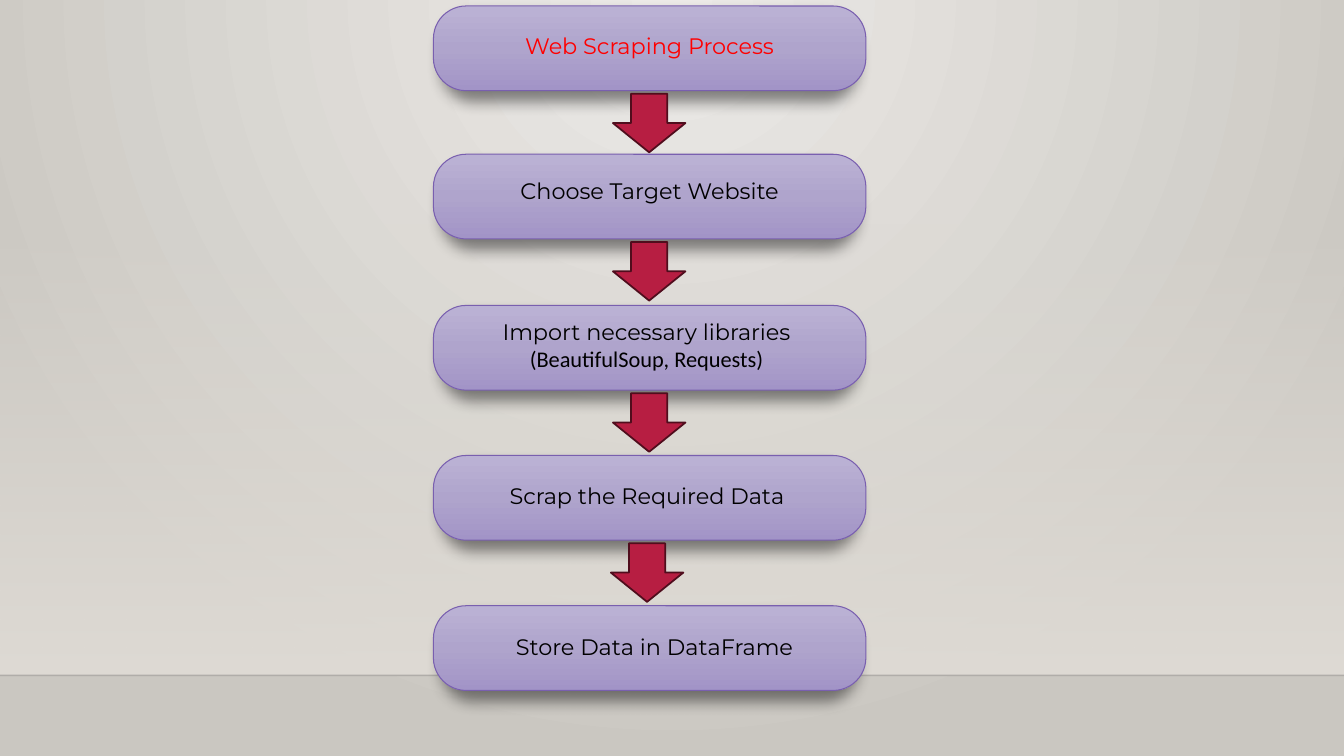
import pptx
import pptx.util
import pptx.dml.color
import pptx.enum.shapes
import pptx.enum.text
import pptx.oxml
import pptx.oxml.ns

Pt = pptx.util.Pt
SHAPE = pptx.enum.shapes.MSO_SHAPE
ANCHOR = pptx.enum.text.MSO_ANCHOR
FIT = pptx.enum.text.MSO_AUTO_SIZE
NS = pptx.oxml.ns.nsdecls("a")

COLORS = {
    "title": "FF0000", "text": "000000", "arrow": "B71E42", "arrow_edge": "500D1D",
    "box_edge": "795FAF", "box_top": "BAB1D4", "box_mid": "AFA4CC", "box_low": "A294C7",
    "glow": "ECEAE7", "wall": "CAC7C1", "haze": "DFDBD5", "floor": "000001",
}
BOX_LEFT, BOX_W, BOX_H = 309.6, 308.9, 60.5
ARROW_W, ARROW_H, ARROW_DROP = 51.8, 41.8, 62.7
DOWN = '<a:lin ang="5400000" scaled="0"/>'
RADIAL = '<a:path path="circle"><a:fillToRect l="43000" r="43000" b="100000"/></a:path>'

# box top, text frame (left, top, width, height), lines of (text, font)
STEPS = [
    (4.3, (309.6, 5.8, 308.9, 56.2), [("Web Scraping Process", "Montserrat")]),
    (110.2, (309.6, 123.1, 308.9, 46.1), [("Choose Target Website", "Montserrat")]),
    (218.2, (309.6, 223.9, 304.6, 46.1), [("Import necessary libraries", "Montserrat"),
                                          ("(BeautifulSoup, Requests)", "Calibri")]),
    (325.4, (318.2, 340.6, 288, 26.6), [("Scrap the Required Data", "Montserrat")]),
    (432.7, (321.1, 448.6, 293, 26.6), [("Store Data in DataFrame", "Montserrat")]),
]
ARROW_LEFTS = [437.8, 437.8, 437.8, 436.3]


def rgb(name):
    return pptx.dml.color.RGBColor.from_string(COLORS[name])


def gradient(stops, direction):
    """Gradient fill element from (position %, colour name, opacity %) stops."""
    gs = "".join(
        f'<a:gs pos="{pos * 1000}"><a:srgbClr val="{COLORS[name]}">'
        f'<a:alpha val="{alpha * 1000}"/></a:srgbClr></a:gs>'
        for pos, name, alpha in stops)
    return pptx.oxml.parse_xml(
        f'<a:gradFill {NS} rotWithShape="1"><a:gsLst>{gs}</a:gsLst>{direction}</a:gradFill>')


class FlowSlide:
    def __init__(self, prs):
        self.s = prs.slides.add_slide(prs.slide_layouts[6])

    def backdrop(self):
        self.s.background.fill.solid()
        bg = self.s.element.xpath("p:cSld/p:bg/p:bgPr")[0]
        bg.replace(bg[0], gradient([(0, "glow", 100), (100, "wall", 100)], RADIAL))
        haze = self.shape(SHAPE.RECTANGLE, 0, 159.1, 960, 323.3)
        haze.line.fill.background()
        self.shade(haze, [(0, "haze", 0), (100, "haze", 100)])

    def floor_line(self, y):
        c = self.s.shapes.add_connector(
            pptx.enum.shapes.MSO_CONNECTOR.STRAIGHT, 0, Pt(y), Pt(960), Pt(y))
        c.line.color.rgb = rgb("floor")
        c.line.width = Pt(1)
        color = c.element.spPr.xpath("a:ln/a:solidFill/a:srgbClr")[0]
        color.append(pptx.oxml.parse_xml(f'<a:alpha {NS} val="20000"/>'))
        c.element.spPr.append(pptx.oxml.parse_xml(f"<a:effectLst {NS}/>"))

    def shape(self, kind, *box):
        sp = self.s.shapes.add_shape(kind, *map(Pt, box))
        sp.shadow.inherit = False
        return sp

    def shade(self, sp, stops):
        sp.element.spPr.xpath("a:prstGeom")[0].addnext(gradient(stops, DOWN))

    def outline(self, sp, color, width):
        sp.line.color.rgb = rgb(color)
        sp.line.width = Pt(width)

    def step_box(self, top):
        sp = self.shape(SHAPE.ROUNDED_RECTANGLE, BOX_LEFT, top, BOX_W, BOX_H)
        sp.adjustments[0] = 0.386
        self.shade(sp, [(5, "box_top", 100), (50, "box_mid", 100), (100, "box_low", 100)])
        self.outline(sp, "box_edge", 0.75)
        sp.element.spPr.xpath("a:effectLst")[0].append(pptx.oxml.parse_xml(
            f'<a:outerShdw {NS} blurRad="{Pt(11)}" dist="{Pt(7)}" dir="5700000" '
            'sx="96000" algn="t" rotWithShape="0"><a:srgbClr val="000000">'
            '<a:alpha val="45000"/></a:srgbClr></a:outerShdw>'))

    def arrow(self, left, top):
        sp = self.shape(SHAPE.DOWN_ARROW, left, top, ARROW_W, ARROW_H)
        sp.fill.solid()
        sp.fill.fore_color.rgb = rgb("arrow")
        self.outline(sp, "arrow_edge", 1.25)

    def text(self, box, lines, color, frame, spacing):
        tf = self.s.shapes.add_textbox(*map(Pt, box)).text_frame
        for name, value in {"word_wrap": True, **frame}.items():
            setattr(tf, name, value)
        for i, (words, font) in enumerate(lines):
            p = tf.add_paragraph() if i else tf.paragraphs[0]
            p.alignment = pptx.enum.text.PP_ALIGN.CENTER
            p.line_spacing = spacing
            r = p.add_run()
            r.text = words
            for name, value in {"name": font, "size": Pt(16)}.items():
                setattr(r.font, name, value)
            r.font.color.rgb = rgb(color)


def main():
    prs = pptx.Presentation()
    prs.slide_width, prs.slide_height = Pt(960), Pt(540)
    flow = FlowSlide(prs)
    flow.backdrop()
    flow.floor_line(482.4)
    for i, (top, box, lines) in enumerate(STEPS):
        flow.step_box(top)
        if i == 0:
            flow.text(box, lines, "title", {"vertical_anchor": ANCHOR.MIDDLE}, 0.9)
        else:
            flow.text(box, lines, "text", {"auto_size": FIT.SHAPE_TO_FIT_TEXT}, 1.0)
    for left, (top, _, _) in zip(ARROW_LEFTS, STEPS):
        flow.arrow(left, top + ARROW_DROP)
    prs.save("out.pptx")


if __name__ == "__main__":
    main()
